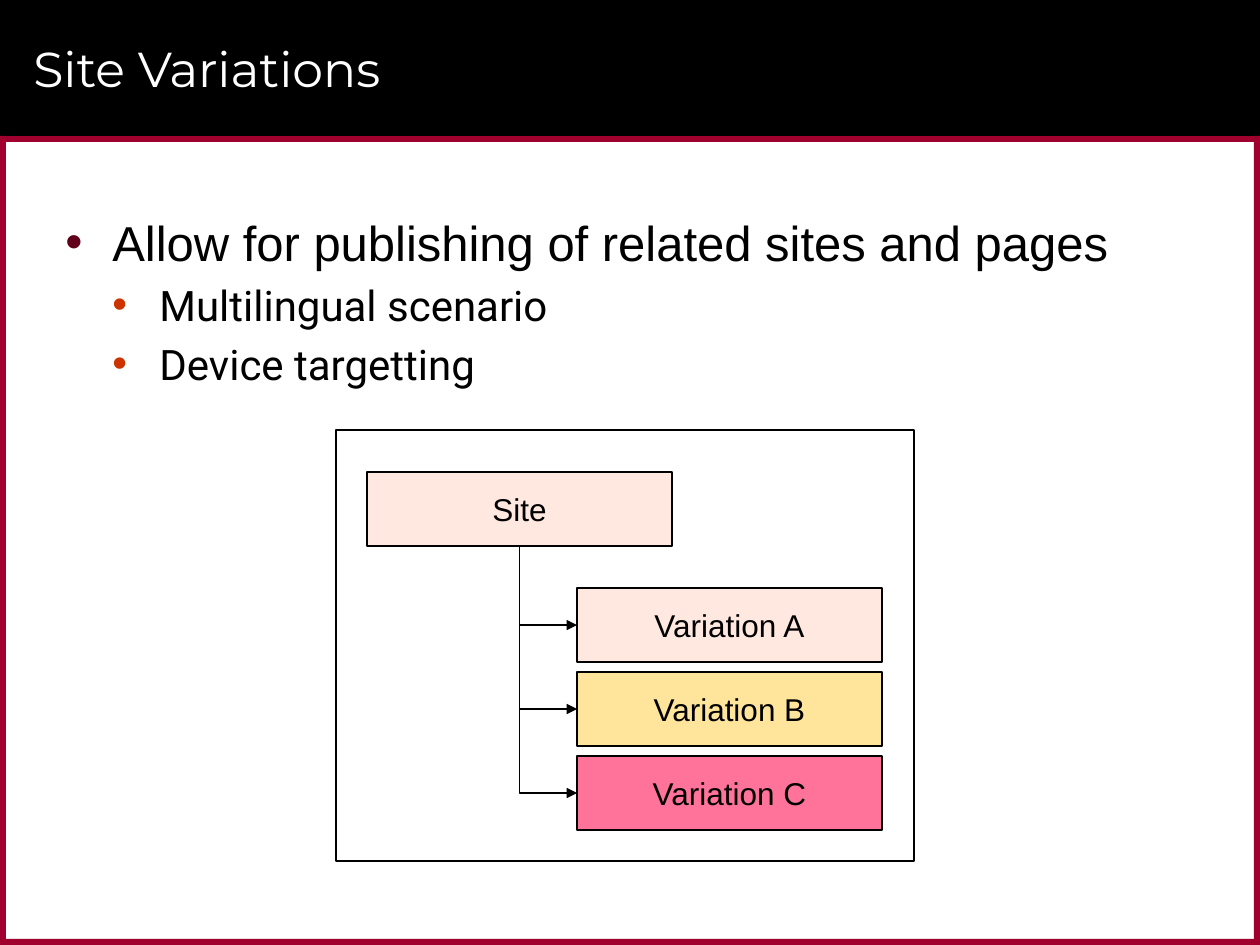
from lxml.etree import SubElement
from pptx import Presentation
from pptx.dml.color import RGBColor
from pptx.enum.shapes import MSO_CONNECTOR, MSO_SHAPE
from pptx.enum.text import MSO_ANCHOR, PP_ALIGN
from pptx.oxml.ns import qn
from pptx.util import Emu, Pt

SLIDE_WIDTH, SLIDE_HEIGHT = 1260, 945
HEADER_HEIGHT = 136
BORDER = 6
BOX_WIDTH, BOX_HEIGHT = 305, 74
VARIATION_LEFT, VARIATION_TOP, VARIATION_STEP = 577, 588, 84
BLACK, WHITE, CRIMSON = "000000", "FFFFFF", "9F002D"

BULLETS = [
    ("Allow for publishing of related sites and pages", 0, 28, "Arial", "60001B"),
    ("Multilingual scenario", 1, 24, "Roboto", "CC3300"),
    ("Device targetting", 1, 24, "Roboto", "CC3300"),
]
VARIATIONS = [
    ("Variation A", "FFE8E0"),
    ("Variation B", "FFE59B"),
    ("Variation C", "FF739A"),
]


def px(length):
    return Emu(round(length * 914400 / 126))


def color(value):
    return RGBColor.from_string(value)


def set_font(para, name, size, value):
    para.font.name = name
    para.font.size = Pt(size)
    para.font.color.rgb = color(value)


def add_rectangle(page, left, top, width, height, fill, line=None):
    box = page.shapes.add_shape(
        MSO_SHAPE.RECTANGLE, px(left), px(top), px(width), px(height)
    )
    box.shadow.inherit = False
    box.fill.solid()
    box.fill.fore_color.rgb = color(fill)
    if line:
        box.line.color.rgb = color(line)
        box.line.width = Pt(0.75)
    else:
        box.line.fill.background()
    return box


def add_node(page, text, left, top, fill):
    box = add_rectangle(page, left, top, BOX_WIDTH, BOX_HEIGHT, fill, BLACK)
    frame = box.text_frame
    frame.word_wrap = False
    frame.vertical_anchor = MSO_ANCHOR.MIDDLE
    para = frame.paragraphs[0]
    para.text = text
    para.alignment = PP_ALIGN.CENTER
    set_font(para, "Arial", 18, BLACK)
    return box


def add_branch(page, parent, child):
    start_x, start_y = parent.left + parent.width // 2, parent.top + parent.height
    end_x, end_y = child.left, child.top + child.height // 2
    branch = page.shapes.add_connector(
        MSO_CONNECTOR.ELBOW, start_x, start_y, end_x, end_y
    )
    branch.begin_connect(parent, 2)
    branch.end_connect(child, 1)
    run, drop = end_x - start_x, end_y - start_y
    branch.left = Emu((start_x + end_x - drop) // 2)
    branch.top = Emu((start_y + end_y - run) // 2)
    branch.width, branch.height = Emu(drop), Emu(run)
    branch.line.color.rgb = color(BLACK)
    branch.line.width = Pt(0.75)
    properties = branch._element.spPr
    properties.find(qn("a:prstGeom")).set("prst", "bentConnector2")
    transform = properties.find(qn("a:xfrm"))
    transform.set("rot", "16200000")
    transform.set("flipH", "1")
    SubElement(properties.find(qn("a:ln")), qn("a:tailEnd"), type="triangle")
    SubElement(properties, qn("a:effectLst"))


def add_text_box(page, left, top, width, height):
    box = page.shapes.add_textbox(px(left), px(top), px(width), px(height))
    box.text_frame.word_wrap = True
    return box.text_frame


def add_title(page, text):
    frame = add_text_box(page, 21, 10, 1187, 116)
    frame.vertical_anchor = MSO_ANCHOR.MIDDLE
    para = frame.paragraphs[0]
    para.text = text
    set_font(para, "Montserrat", 28, WHITE)


def add_bullets(page, items):
    frame = add_text_box(page, 53, 199, 1155, 714)
    frame.margin_top = px(13)
    for index, (text, level, size, font, bullet_color) in enumerate(items):
        para = frame.add_paragraph() if index else frame.paragraphs[0]
        para.text = text
        para.level = level
        if index:
            para.space_before = Pt(size * 0.2)
        properties = para._p.get_or_add_pPr()
        properties.set("marL", str(px(47 * (level + 1))))
        properties.set("indent", str(-px(47)))
        bullet = SubElement(properties, qn("a:buClr"))
        SubElement(bullet, qn("a:srgbClr"), val=bullet_color)
        SubElement(properties, qn("a:buFont"), typeface="Arial")
        SubElement(properties, qn("a:buChar"), char="•")
        set_font(para, font, size, BLACK)


def add_background(page):
    side_height = SLIDE_HEIGHT - HEADER_HEIGHT
    add_rectangle(page, 0, 0, SLIDE_WIDTH, HEADER_HEIGHT, BLACK)
    for top in (HEADER_HEIGHT, SLIDE_HEIGHT - BORDER):
        add_rectangle(page, 0, top, SLIDE_WIDTH, BORDER, CRIMSON)
    for left in (0, SLIDE_WIDTH - BORDER):
        add_rectangle(page, left, HEADER_HEIGHT, BORDER, side_height, CRIMSON)


def add_diagram(page):
    add_rectangle(page, 336, 430, 578, 431, WHITE, BLACK)
    site = add_node(page, "Site", 367, 472, "FFE8E0")
    nodes = [
        add_node(page, text, VARIATION_LEFT, VARIATION_TOP + row * VARIATION_STEP, fill)
        for row, (text, fill) in enumerate(VARIATIONS)
    ]
    for node in nodes:
        add_branch(page, site, node)


def main():
    deck = Presentation()
    deck.slide_width, deck.slide_height = px(SLIDE_WIDTH), px(SLIDE_HEIGHT)
    page = deck.slides.add_slide(deck.slide_layouts[6])
    add_background(page)
    add_title(page, "Site Variations")
    add_bullets(page, BULLETS)
    add_diagram(page)
    deck.save("out.pptx")


if __name__ == "__main__":
    main()
